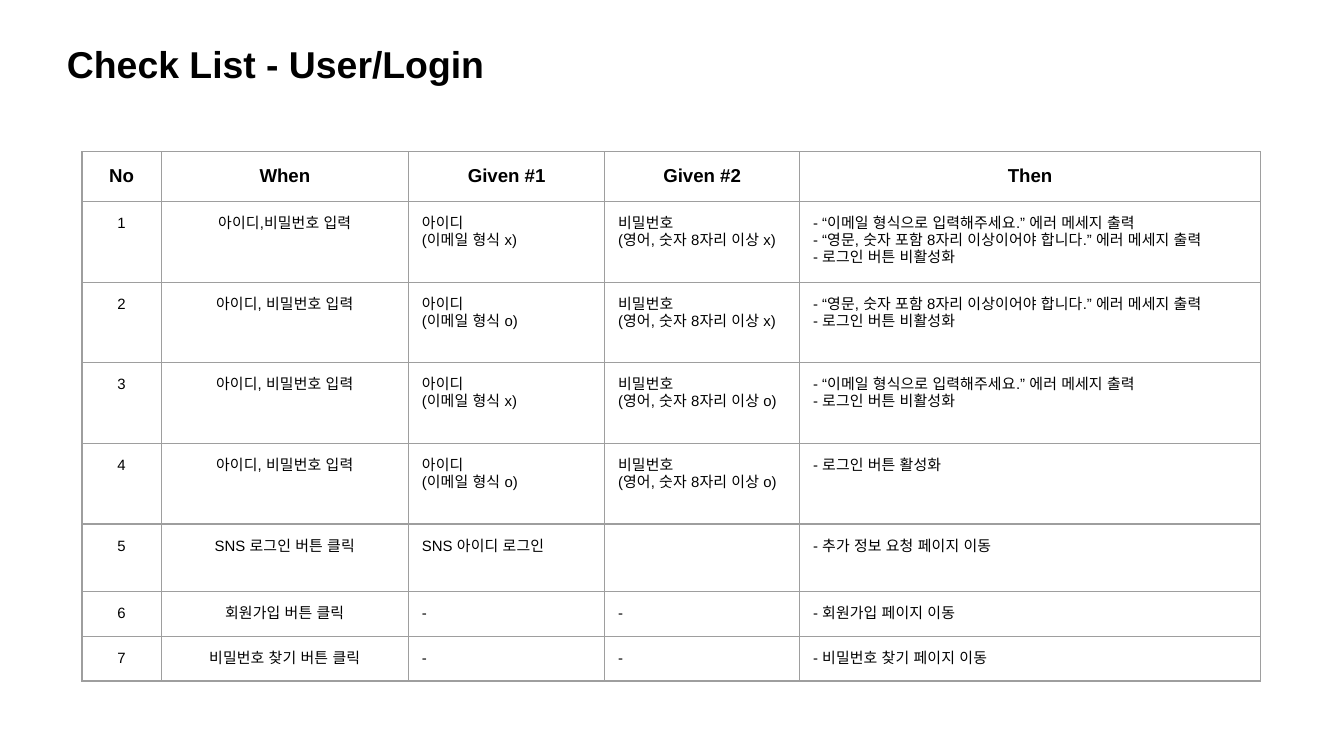
from dataclasses import dataclass

from lxml import etree
from pptx import Presentation
from pptx.dml.color import RGBColor
from pptx.enum.lang import MSO_LANGUAGE_ID
from pptx.enum.text import MSO_ANCHOR, PP_ALIGN
from pptx.oxml.ns import qn
from pptx.util import Inches, Pt

LEFT, CENTER = PP_ALIGN.LEFT, PP_ALIGN.CENTER
TOP = MSO_ANCHOR.TOP
KOREAN = MSO_LANGUAGE_ID.KOREAN
FONT, INK, GRID = "Arial", "000000", "9E9E9E"
INSET = Inches(0.1)
PAGE_WIDTH = 10
PAGE_HEIGHT = PAGE_WIDTH * 9 / 16
BLANK_LAYOUT = 6


@dataclass
class Column:
    heading: str
    width: float
    align: PP_ALIGN


@dataclass
class Check:
    when: str
    given_1: str
    given_2: str
    then: str
    height: float


COLUMNS = [
    Column("No", 0.59, CENTER),
    Column("When", 1.84, CENTER),
    Column("Given #1", 1.46, LEFT),
    Column("Given #2", 1.45, LEFT),
    Column("Then", 3.43, LEFT),
]
HEADER_HEIGHT, TALL, MEDIUM, SHORT = 0.37, 0.6, 0.5, 0.33

# Wording shared by several checks
ENTER = "아이디, 비밀번호 입력"
EMAIL = "아이디\n(이메일 형식 {})"
PASSWORD = "비밀번호\n(영어, 숫자 8자리 이상 {})"
EMAIL_ERROR = "- “이메일 형식으로 입력해주세요.” 에러 메세지 출력\n"
PASSWORD_ERROR = "- “영문, 숫자 포함 8자리 이상이어야 합니다.” 에러 메세지 출력\n"
DISABLED = "- 로그인 버튼 비활성화"

CHECKS = [
    Check("아이디,비밀번호 입력", EMAIL.format("x"), PASSWORD.format("x"),
          EMAIL_ERROR + PASSWORD_ERROR + DISABLED, TALL),
    Check(ENTER, EMAIL.format("o"), PASSWORD.format("x"), PASSWORD_ERROR + DISABLED, TALL),
    Check(ENTER, EMAIL.format("x"), PASSWORD.format("o"), EMAIL_ERROR + DISABLED, TALL),
    Check(ENTER, EMAIL.format("o"), PASSWORD.format("o"), "- 로그인 버튼 활성화", TALL),
    Check("SNS 로그인 버튼 클릭", "SNS 아이디 로그인", "", "- 추가 정보 요청 페이지 이동", MEDIUM),
    Check("회원가입 버튼 클릭", "-", "-", "- 회원가입 페이지 이동", SHORT),
    Check("비밀번호 찾기 버튼 클릭", "-", "-", "- 비밀번호 찾기 페이지 이동", SHORT),
]


def color(value: str) -> RGBColor:
    return RGBColor.from_string(value)


def write(frame, text: str, size: float, bold: bool = False, align: PP_ALIGN = LEFT) -> None:
    frame.word_wrap = True
    frame.text = text
    for para in frame.paragraphs:
        para.alignment = align
        para.font.name = FONT
        para.font.size = Pt(size)
        para.font.bold = bold
        para.font.language_id = KOREAN
        para.font.color.rgb = color(INK)
        # Korean letters take the East Asian typeface
        defaults = para._p.pPr.find(qn("a:defRPr"))
        etree.SubElement(defaults, qn("a:ea"), typeface=FONT)


def add_borders(cell) -> None:
    properties = cell._tc.get_or_add_tcPr()
    for position, side in enumerate(("lnL", "lnR", "lnT", "lnB")):
        line = etree.Element(qn(f"a:{side}"), w=str(Pt(0.75)))
        fill = etree.SubElement(line, qn("a:solidFill"))
        etree.SubElement(fill, qn("a:srgbClr"), val=GRID)
        properties.insert(position, line)


def fill_cell(cell, text: str, size: float, bold: bool, align: PP_ALIGN) -> None:
    cell.margin_left = cell.margin_right = INSET
    cell.margin_top = cell.margin_bottom = INSET
    cell.vertical_anchor = TOP
    cell.fill.background()
    add_borders(cell)
    if text:
        write(cell.text_frame, text, size, bold, align)


def add_title(page, text: str) -> None:
    box = page.shapes.add_textbox(Inches(0.4), Inches(0.21), Inches(4.66), Inches(0.54))
    frame = box.text_frame
    frame.margin_left = frame.margin_right = INSET
    frame.margin_top = frame.margin_bottom = INSET
    write(frame, text, 20, bold=True)


def add_check_table(page) -> None:
    heights = [HEADER_HEIGHT] + [check.height for check in CHECKS]
    width = sum(column.width for column in COLUMNS)
    table = page.shapes.add_table(
        len(heights), len(COLUMNS), Inches(0.61), Inches(1.13),
        Inches(width), Inches(sum(heights))).table
    table.first_row = table.horz_banding = False
    for row, height in zip(table.rows, heights):
        row.height = Inches(height)

    for index, column in enumerate(COLUMNS):
        table.columns[index].width = Inches(column.width)
        fill_cell(table.cell(0, index), column.heading, 10, True, CENTER)

    for number, check in enumerate(CHECKS, start=1):
        texts = (str(number), check.when, check.given_1, check.given_2, check.then)
        for index, (column, text) in enumerate(zip(COLUMNS, texts)):
            fill_cell(table.cell(number, index), text, 8, False, column.align)


def main() -> None:
    deck = Presentation()
    deck.slide_width, deck.slide_height = Inches(PAGE_WIDTH), Inches(PAGE_HEIGHT)
    page = deck.slides.add_slide(deck.slide_layouts[BLANK_LAYOUT])
    add_title(page, "Check List - User/Login")
    add_check_table(page)
    deck.save("out.pptx")


if __name__ == "__main__":
    main()
